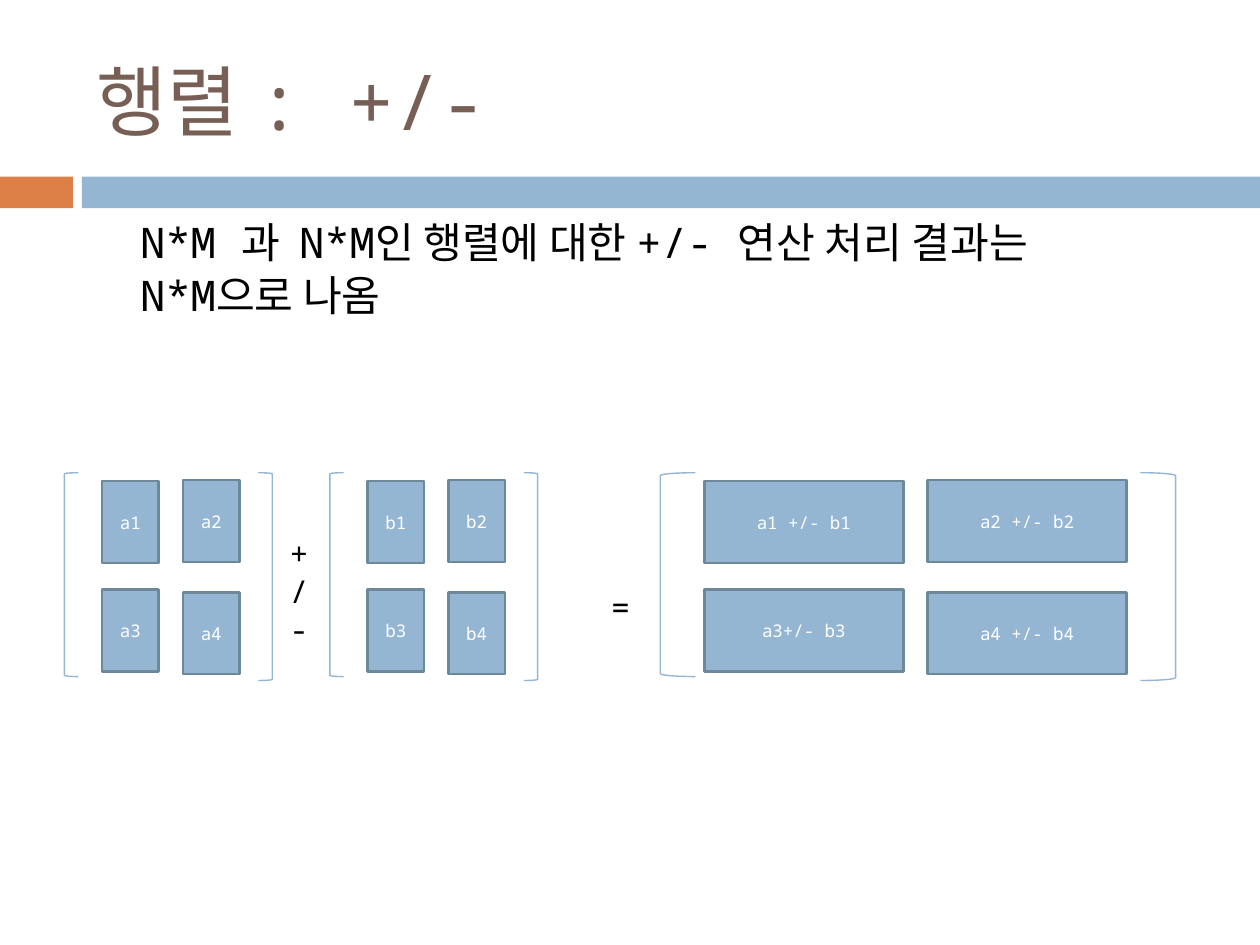
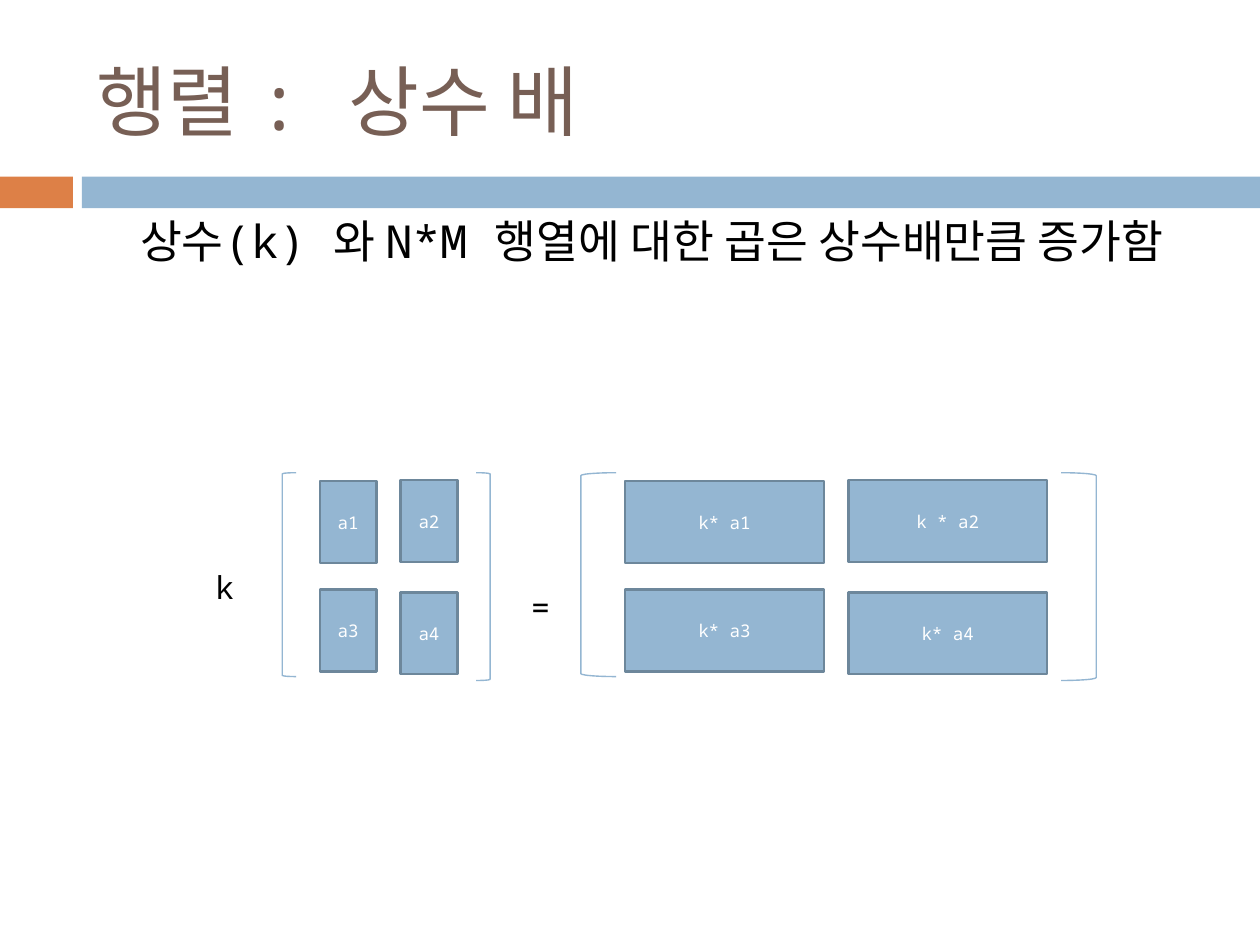
from lxml.etree import SubElement
from pptx import Presentation
from pptx.dml.color import RGBColor
from pptx.enum.shapes import MSO_SHAPE as Preset
from pptx.enum.text import MSO_ANCHOR as Anchor, MSO_AUTO_SIZE as AutoSize, PP_ALIGN as Align
from pptx.oxml.ns import qn
from pptx.util import Cm, Pt

FONT = "Noto Sans Mono"
BLUE, ORANGE, BROWN = "94B6D2", "DD8047", "775F55"
CELL_EDGE, WHITE, BLACK = "6D879B", "FFFFFF", "000000"

CELL_TOPS = ((9.7, 9.68), (11.89, 11.94))
CELL_HEIGHT = 1.65
BRACKET_TOP = 9.53
NARROW = dict(bracket=0.28, inset=0.76, cell=1.14, pitch=1.63, right=3.91)
WIDE = dict(bracket=0.71, inset=0.89, cell=4.01, pitch=4.5, right=9.68)


def color(value):
    return RGBColor.from_string(value)


def place(shape, left, top, width, height):
    shape.left, shape.top = Cm(left), Cm(top)
    shape.width, shape.height = Cm(width), Cm(height)


def write(frame, text, size=18, ink=BLACK, align=Align.LEFT, anchor=Anchor.TOP):
    frame.word_wrap = True
    frame.auto_size = AutoSize.NONE
    frame.vertical_anchor = anchor
    frame.text = text
    for para in frame.paragraphs:
        para.alignment = align
        for span in para.runs:
            span.font.name = FONT
            span.font.size = Pt(size)
            span.font.color.rgb = color(ink)


def add_preset(shapes, preset, left, top, width, height, fill=None, line=None, weight=1):
    shape = shapes.add_shape(preset, Cm(left), Cm(top), Cm(width), Cm(height))
    shape.shadow.inherit = False
    if fill:
        shape.fill.solid()
        shape.fill.fore_color.rgb = color(fill)
    else:
        shape.fill.background()
    if line:
        shape.line.color.rgb = color(line)
        shape.line.width = Pt(weight)
    else:
        shape.line.fill.background()
    return shape


def add_page(deck, title, body, body_size, spacing):
    page = deck.slides.add_slide(deck.slide_layouts[1])
    add_preset(page.shapes, Preset.RECTANGLE, 0, 3.56, 1.47, 0.64, fill=ORANGE)
    add_preset(page.shapes, Preset.RECTANGLE, 1.65, 3.56, 23.75, 0.64, fill=BLUE)

    heading = page.shapes.title
    place(heading, 1.7, 0.64, 22.66, 2.74)
    write(heading.text_frame, title, size=44, ink=BROWN, anchor=Anchor.MIDDLE)

    box = page.placeholders[1]
    place(box, 1.3, 4.39, 22.86, 2.34)
    write(box.text_frame, body, size=body_size)
    for para in box.text_frame.paragraphs:
        para.level = 1
        para.space_before = Pt(5.5)
        para.line_spacing = spacing
        properties = para._p.get_or_add_pPr()
        properties.set("marL", str(Cm(1.27)))
        properties.set("indent", "0")
        SubElement(properties, qn("a:buNone"))
    return page


def add_matrix(page, left, labels, bracket, inset, cell, pitch, right):
    shapes = page.shapes.add_group_shape().shapes
    for tops, row in zip(CELL_TOPS, labels):
        for column, (top, label) in enumerate(zip(tops, row)):
            box = add_preset(shapes, Preset.RECTANGLE, left + inset + column * pitch, top,
                             cell, CELL_HEIGHT, fill=BLUE, line=CELL_EDGE, weight=1.5)
            write(box.text_frame, label, size=10, ink=WHITE,
                  align=Align.CENTER, anchor=Anchor.MIDDLE)
    for preset, offset, height in ((Preset.LEFT_BRACKET, 0, 4.11),
                                   (Preset.RIGHT_BRACKET, right, 4.19)):
        add_preset(shapes, preset, left + offset, BRACKET_TOP, bracket, height,
                   line=BLUE, weight=0.79)


def add_operator(page, text, left, top, width=1.19, height=1.02):
    box = page.shapes.add_textbox(Cm(left), Cm(top), Cm(width), Cm(height))
    write(box.text_frame, text)


def main():
    deck = Presentation()
    deck.slide_width, deck.slide_height = Cm(25.4), Cm(19.05)
    a_cells = (("a1", "a2"), ("a3", "a4"))
    b_cells = (("b1", "b2"), ("b3", "b4"))

    page = add_page(deck, "행렬 : +/-",
                    "N*M 과  N*M인 행렬에 대한 +/- 연산 처리 결과는\nN*M으로 나옴", 24.1, 0.85)
    add_matrix(page, 1.3, a_cells, **NARROW)
    add_matrix(page, 6.65, b_cells, **NARROW)
    add_matrix(page, 13.31, (("a1 +/- b1", "a2 +/- b2"), ("a3+/- b3", "a4 +/- b4")), **WIDE)
    add_operator(page, "=", 12.07, 11.73)
    add_operator(page, "+/-", 5.59, 10.64, height=2.57)

    page = add_page(deck, "행렬 : 상수 배",
                    "상수(k) 와 N*M 행열에 대한 곱은 상수배만큼 증가함", 26, 0.8)
    add_matrix(page, 5.69, a_cells, **NARROW)
    add_matrix(page, 11.71, (("k* a1", "k * a2"), ("k* a3", "k* a4")), **WIDE)
    add_operator(page, "=", 10.46, 11.73)
    add_operator(page, "k", 4.09, 11.33, width=2.79)

    deck.save("out.pptx")


if __name__ == "__main__":
    main()
